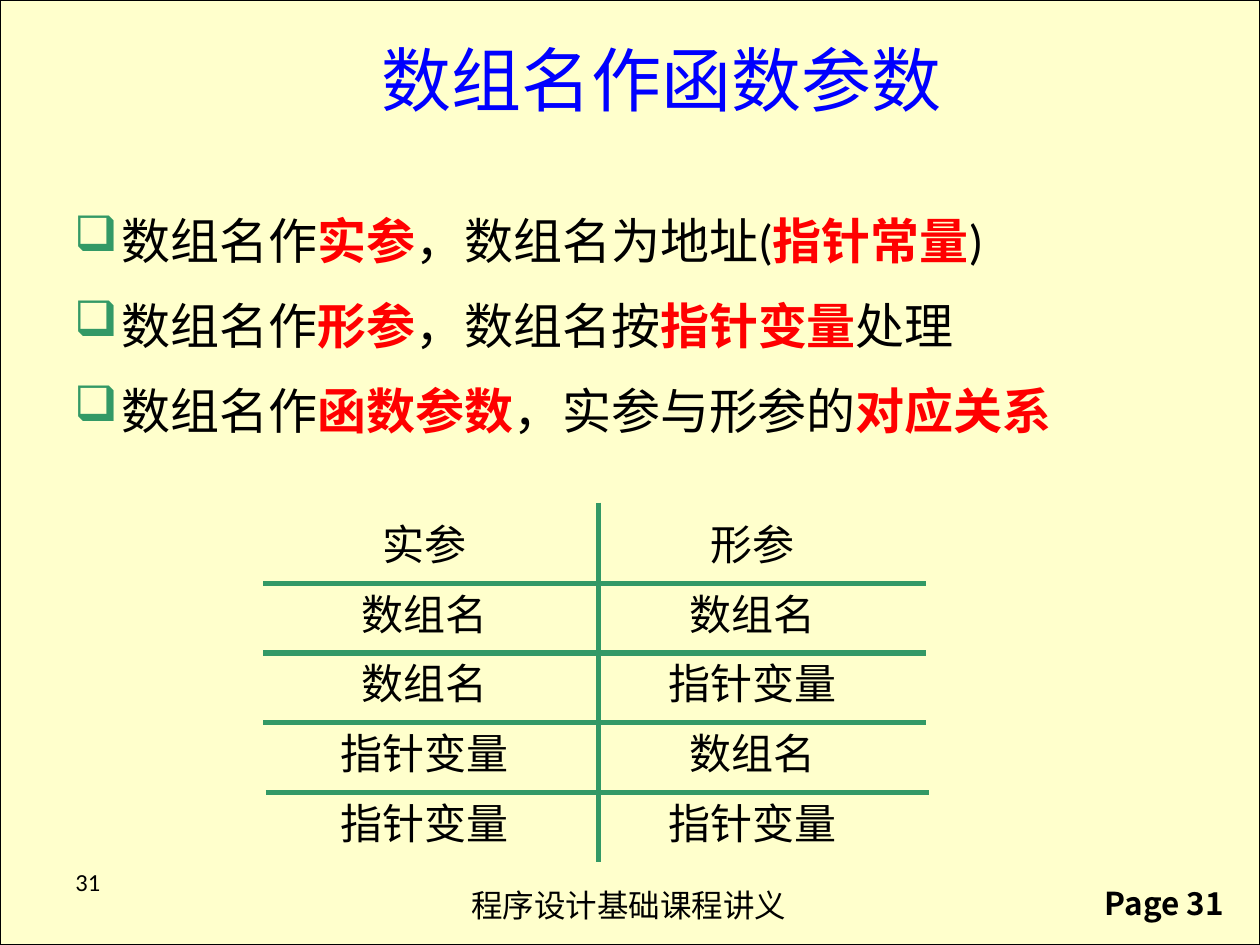
from dataclasses import dataclass

from lxml import etree
from pptx import Presentation
from pptx.dml.color import RGBColor
from pptx.enum.shapes import MSO_CONNECTOR, MSO_SHAPE
from pptx.enum.text import MSO_ANCHOR, PP_ALIGN
from pptx.oxml.ns import qn
from pptx.util import Inches, Pt

LEFT, CENTER = PP_ALIGN.LEFT, PP_ALIGN.CENTER
TOP, MIDDLE = MSO_ANCHOR.TOP, MSO_ANCHOR.MIDDLE
RECT, STRAIGHT = MSO_SHAPE.RECTANGLE, MSO_CONNECTOR.STRAIGHT


@dataclass(frozen=True)
class Theme:
    paper: RGBColor = RGBColor(0xFF, 0xFF, 0xCC)
    ink: RGBColor = RGBColor(0, 0, 0)
    title: RGBColor = RGBColor(0, 0, 0xFF)
    key: RGBColor = RGBColor(0xFF, 0, 0)
    green: RGBColor = RGBColor(0x33, 0x99, 0x66)
    body_font: str = "Calibri"
    footer_font: str = "Arial"
    page_font: str = "Noto Sans CJK SC"
    title_size: int = 40
    bullet_size: int = 28
    cell_size: int = 24
    footer_size: int = 18
    number_size: int = 14


@dataclass(frozen=True)
class Box:
    x: float
    y: float
    w: float
    h: float


@dataclass(frozen=True)
class Span:
    text: str
    key: bool = False


@dataclass(frozen=True)
class Grid:
    """Two-column table: column centres, first rule and row pitch."""
    left: float = 2.09
    right: float = 7.35
    divider: float = 4.75
    top: float = 3.99
    bottom: float = 6.84
    first_rule: float = 4.63
    pitch: float = 0.553
    centres: tuple[float, float] = (3.37, 5.97)
    first_text: float = 4.06
    text_h: float = 0.51


T = Theme()
G = Grid()
SLIDE_W, SLIDE_H = 10, 7.5

BULLETS = (
    (Span("数组名作"), Span("实参", True), Span("，数组名为地址("),
     Span("指针常量", True), Span(")")),
    (Span("数组名作"), Span("形参", True), Span("，数组名按"),
     Span("指针变量", True), Span("处理")),
    (Span("数组名作"), Span("函数参数", True), Span("，实参与形参的"),
     Span("对应关系", True)),
)
ROWS = (
    ("实参", "形参"),
    ("数组名", "数组名"),
    ("数组名", "指针变量"),
    ("指针变量", "数组名"),
    ("指针变量", "指针变量"),
)


def add_run(p, text: str, size: float, color: RGBColor = T.ink,
            font: str = T.body_font, bold: bool = False) -> None:
    r = p.add_run()
    r.text = text
    r.font.name = font
    r.font.size = Pt(size)
    r.font.bold = bold
    r.font.color.rgb = color


def add_frame(s, box: Box, anchor=TOP, wrap: bool = True):
    sp = s.shapes.add_textbox(*map(Inches, (box.x, box.y, box.w, box.h)))
    tf = sp.text_frame
    tf.word_wrap = wrap
    tf.vertical_anchor = anchor
    return tf


def add_label(s, box: Box, text: str, size: float, color: RGBColor = T.ink,
              font: str = T.body_font, bold: bool = False, align=LEFT,
              anchor=TOP, wrap: bool = False):
    p = add_frame(s, box, anchor, wrap).paragraphs[0]
    p.alignment = align
    add_run(p, text, size, color, font, bold)
    return p


def add_rule(s, x1: float, y1: float, x2: float, y2: float) -> None:
    line = s.shapes.add_connector(STRAIGHT, *map(Inches, (x1, y1, x2, y2)))
    line.line.color.rgb = T.green
    line.line.width = Pt(3)
    etree.SubElement(line._element.spPr, qn("a:effectLst"))


def set_bullet(p, char: str) -> None:
    pPr = p._p.get_or_add_pPr()
    indent = Inches(0.38)
    pPr.set("marL", str(indent))
    pPr.set("indent", str(-indent))
    color = etree.SubElement(pPr, qn("a:buClr"))
    etree.SubElement(color, qn("a:srgbClr"), val=str(T.green))
    etree.SubElement(pPr, qn("a:buChar"), char=char)


def add_background(s) -> None:
    sp = s.shapes.add_shape(RECT, 0, 0, Inches(SLIDE_W), Inches(SLIDE_H))
    sp.shadow.inherit = False
    sp.fill.solid()
    sp.fill.fore_color.rgb = T.paper
    sp.line.color.rgb = T.ink
    sp.line.width = Pt(0.75)


def add_bullets(s, box: Box) -> None:
    tf = add_frame(s, box)
    for i, spans in enumerate(BULLETS):
        p = tf.add_paragraph() if i else tf.paragraphs[0]
        p.line_spacing = 1.3
        p.space_before = Pt(5)
        set_bullet(p, "❑")
        for span in spans:
            add_run(p, span.text, T.bullet_size,
                    T.key if span.key else T.ink, bold=span.key)


def add_grid(s) -> None:
    add_rule(s, G.divider, G.top, G.divider, G.bottom)
    for i in range(len(ROWS) - 1):
        y = G.first_rule + i * G.pitch
        shift = 0.02 if i == len(ROWS) - 2 else 0
        add_rule(s, G.left + shift, y, G.right + shift, y)
    for i, row in enumerate(ROWS):
        for centre, text in zip(G.centres, row):
            w = 0.2 + len(text) * T.cell_size / 72
            box = Box(centre - w / 2, G.first_text + i * G.pitch, w, G.text_h)
            add_label(s, box, text, T.cell_size, align=CENTER, anchor=MIDDLE)


def main() -> None:
    prs = Presentation()
    prs.slide_width, prs.slide_height = Inches(SLIDE_W), Inches(SLIDE_H)
    s = prs.slides.add_slide(prs.slide_layouts[6])
    add_background(s)
    add_label(s, Box(3.64, 6.98, 2.73, 0.4), "程序设计基础课程讲义",
              T.footer_size, font=T.footer_font)
    add_label(s, Box(8.67, 6.97, 1.28, 0.4), "Page 31", T.footer_size,
              font=T.page_font, bold=True)
    add_grid(s)
    title = add_label(s, Box(0.75, 0.52, 9, 0.87), "数组名作函数参数",
                      T.title_size, T.title, align=CENTER, anchor=MIDDLE,
                      wrap=True)
    title.font.size = Pt(T.title_size)
    title.add_line_break()
    add_bullets(s, Box(0.49, 1.48, 9, 2.19))
    add_label(s, Box(0.5, 6.83, 2.33, 0.52), "31", T.number_size, wrap=True)
    prs.save("out.pptx")


if __name__ == "__main__":
    main()
